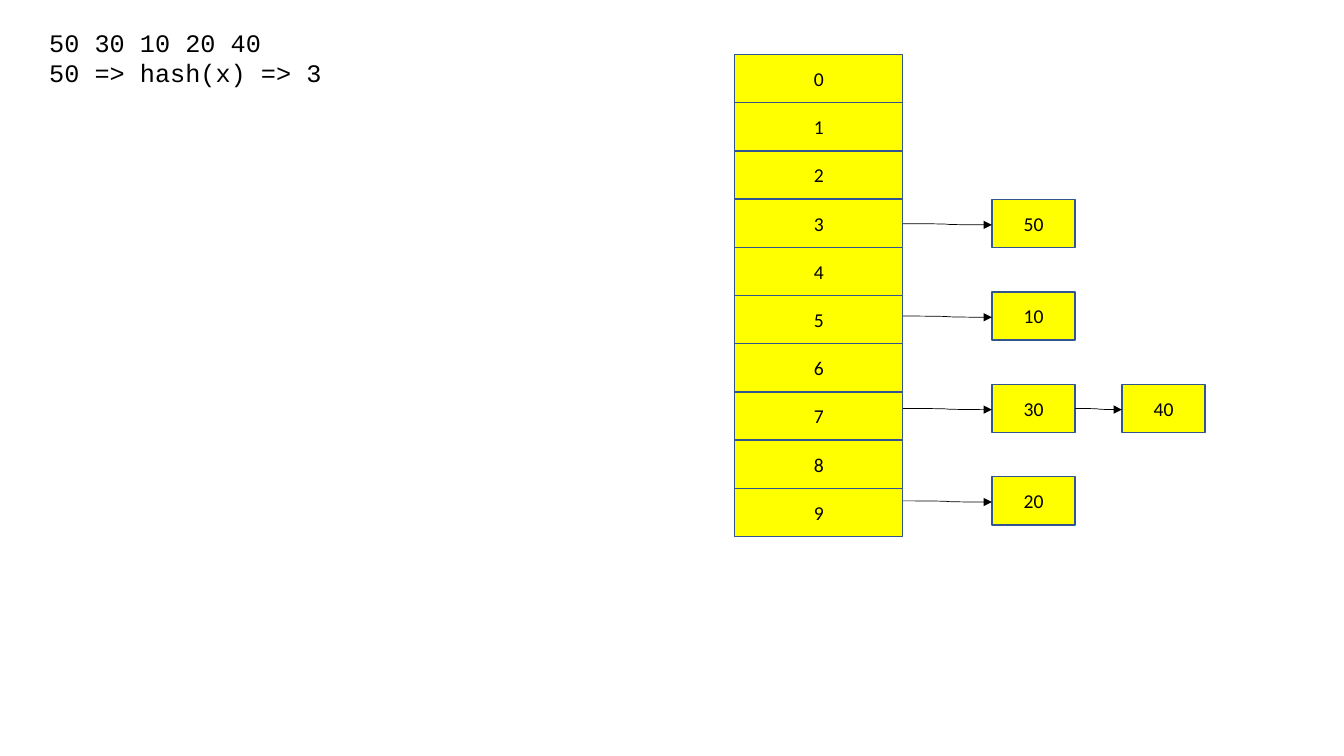
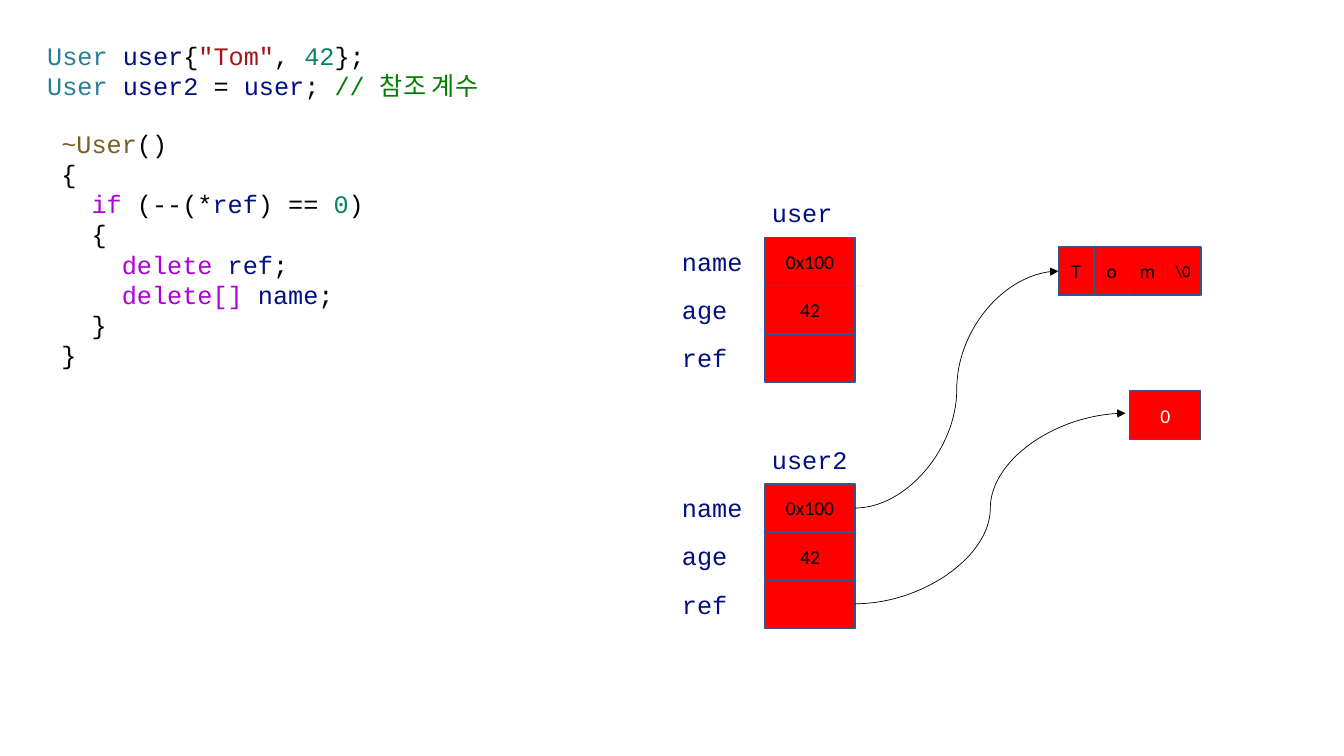
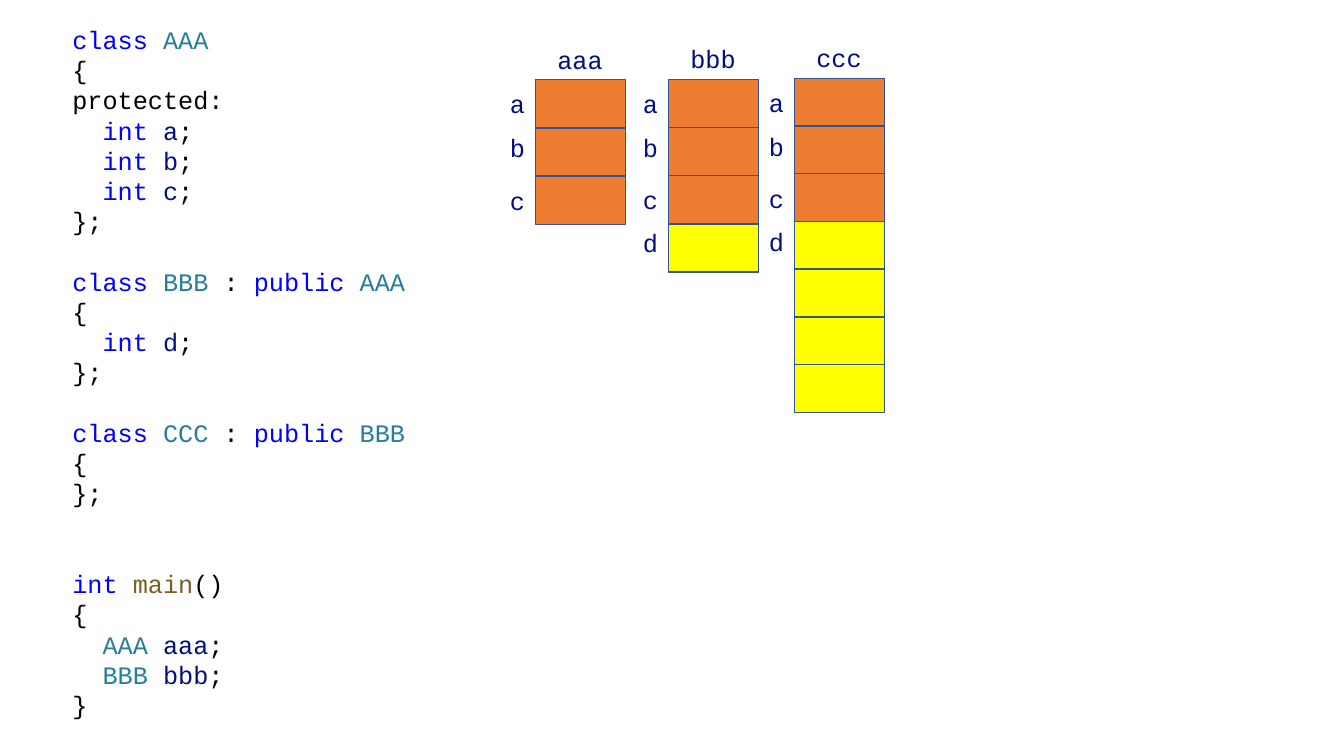
from pptx import Presentation
from pptx import util as u
from pptx.dml.color import RGBColor
from pptx.enum import shapes, text
from pptx.oxml import parse_xml
from pptx.oxml.ns import nsdecls

BLACK = RGBColor(0x00, 0x00, 0x00)
WHITE = RGBColor(0xFF, 0xFF, 0xFF)
YELLOW = RGBColor(0xFF, 0xFF, 0x00)
RED = RGBColor(0xFF, 0x00, 0x00)
ORANGE = RGBColor(0xED, 0x7D, 0x31)
BORDER = RGBColor(0x32, 0x54, 0x91)
TYPE = RGBColor(0x26, 0x7F, 0x99)
VARIABLE = RGBColor(0x00, 0x10, 0x80)
STRING = RGBColor(0xA3, 0x15, 0x15)
NUMBER = RGBColor(0x09, 0x86, 0x58)
COMMENT = RGBColor(0x00, 0x80, 0x00)
FUNCTION = RGBColor(0x79, 0x5E, 0x26)
CONTROL = RGBColor(0xAF, 0x00, 0xDB)
KEYWORD = RGBColor(0x00, 0x00, 0xFF)

COLUMNS, ROWS = 80, 45
CELL = 2.87
CODE_FONT = {"name": "Courier New", "size": u.Pt(18)}
CELL_FONT = {"name": "Calibri", "size": u.Pt(14)}
CODE_LINE = 21.6
CODE_CHAR = 10.8


def apply(target, values):
    """Set every named attribute on the target."""
    for name, value in values.items():
        setattr(target, name, value)


class Board:
    """Draws code and memory diagrams on a grid of columns and rows."""

    def __init__(self):
        self.deck = Presentation()
        apply(self.deck, {"slide_width": u.Inches(13.33), "slide_height": u.Inches(7.5)})
        self.slide = None

    def new_slide(self):
        self.slide = self.deck.slides.add_slide(self.deck.slide_layouts[6])

    def x(self, columns):
        return round(self.deck.slide_width * columns / COLUMNS)

    def y(self, rows):
        return round(self.deck.slide_height * rows / ROWS)

    def area(self, left, top, width, height):
        return self.x(left), self.y(top), self.x(width), self.y(height)

    def add_span(self, para, words, font, colour):
        span = para.add_run()
        span.text = words
        apply(span.font, font)
        span.font.color.rgb = colour

    def code(self, left, top, width, height, lines, gaps={}, wrap=True):
        frame = self.slide.shapes.add_textbox(*self.area(left, top, width, height)).text_frame
        apply(frame, {"word_wrap": wrap, "auto_size": text.MSO_AUTO_SIZE.SHAPE_TO_FIT_TEXT})
        for index, line in enumerate(lines):
            para = frame.add_paragraph() if index else frame.paragraphs[0]
            apply(para, {"line_spacing": u.Pt(CODE_LINE),
                         "space_before": u.Pt(CODE_LINE * gaps.get(index, 0))})
            first = line[0][0]
            indent = len(first) - len(first.lstrip())
            if indent:
                para._p.get_or_add_pPr().set("marL", str(u.Pt(CODE_CHAR * indent)))
            for position, (words, colour) in enumerate(line):
                self.add_span(para, words if position else words.lstrip(), CODE_FONT, colour)

    def label(self, left, top, name):
        self.code(left, top, 0.9 * len(name) + 1.2, 2.42, [[(name, VARIABLE)]], wrap=False)

    def cell(self, left, top, width, fill, words="", colour=BLACK, font=CELL_FONT):
        box = self.slide.shapes.add_shape(
            shapes.MSO_SHAPE.RECTANGLE, *self.area(left, top, width, CELL))
        box.shadow.inherit = False
        box.fill.solid()
        box.fill.fore_color.rgb = fill
        box.line.color.rgb = BORDER
        box.line.width = u.Pt(1)
        box.text_frame.vertical_anchor = text.MSO_ANCHOR.MIDDLE
        if words:
            para = box.text_frame.paragraphs[0]
            para.alignment = text.PP_ALIGN.CENTER
            self.add_span(para, words, font, colour)

    def stack(self, left, top, width, cells, step=CELL):
        for index, (fill, words) in enumerate(cells):
            self.cell(left, top + index * step, width, fill, words)

    def arrow(self, start, end):
        link = self.slide.shapes.add_connector(
            shapes.MSO_CONNECTOR.CURVE, self.x(start[0]), self.y(start[1]),
            self.x(end[0]), self.y(end[1]))
        link.line.color.rgb = BLACK
        link.line.width = u.Pt(0.5)
        link.line._get_or_add_ln().append(
            parse_xml(f'<a:tailEnd {nsdecls("a")} type="triangle"/>'))
        link._element.spPr.append(parse_xml(f'<a:effectLst {nsdecls("a")}/>'))


def plain(words):
    """Return one line of black code."""
    return [(words, BLACK)]


def declare(kind, name, colour):
    """Return one indented declaration."""
    return [(f"  {kind} ", colour), (name, VARIABLE), (";", BLACK)]


def derive(name, base):
    """Return the heading of a derived class."""
    return [("class ", KEYWORD), (name, TYPE), (" : ", BLACK), ("public ", KEYWORD), (base, TYPE)]


def hash_table(board):
    """Draw the hash table with its chains."""
    board.new_slide()
    board.code(2.34, 1.32, 31.38, 4.26,
               [plain("50 30 10 20 40"), plain("50 => hash(x) => 3")])
    left, width, node_width = 43.74, 10, 4.96
    board.stack(left, 3.24, width, [(YELLOW, str(number)) for number in range(10)])
    for row, chain in enumerate([["50"], ["10"], ["30", "40"], ["20"]]):
        top = 11.88 + 5.5 * row
        middle = top + CELL / 2
        tail = left + width
        for node_left, value in zip((59.04, 66.78), chain):
            board.cell(node_left, top, node_width, YELLOW, value)
            board.arrow((tail, middle), (node_left, middle + 0.07))
            tail = node_left + node_width


def reference_count(board):
    """Draw two objects that share a name and a counter."""
    board.new_slide()
    board.code(2.22, 2.1, 30.42, 4.26, [
        [("User ", TYPE), ("user", VARIABLE), ("{", BLACK), ('"Tom"', STRING),
         (", ", BLACK), ("42", NUMBER), ("};", BLACK)],
        [("User ", TYPE), ("user2", VARIABLE), (" = ", BLACK), ("user", VARIABLE),
         (";", BLACK), (" // 참조 계수", COMMENT)],
    ])
    left, width = 45.54, 5.36
    for top, owner in ((14.14, "user"), (28.8, "user2")):
        board.label(45.36, top - 2.66, owner)
        board.stack(left, top, width, [(RED, "0x100"), (RED, "42"), (RED, "")])
        for index, field in enumerate(("name", "age", "ref")):
            board.label(40, top + 0.22 + index * CELL, field)
    letter_left, letter_width = 63, 2.12
    for index, letter in enumerate(("T", "o", "m", "\\0")):
        size = u.Pt(14 if len(letter) == 1 else 12)
        board.cell(letter_left + index * letter_width, 14.7, letter_width, RED, letter,
                   font={**CELL_FONT, "size": size})
    board.cell(67.24, 23.28, 2 * letter_width, RED, "0", WHITE)
    board.arrow((left + width, 30.24), (letter_left, 16.14))
    board.arrow((left + width, 35.94), (67, 24.6))
    board.code(3.06, 7.32, 29.16, 15.12, [
        [("~User", FUNCTION), ("()", BLACK)],
        plain("{"),
        [("  if", CONTROL), (" (--(*", BLACK), ("ref", VARIABLE), (") == ", BLACK),
         ("0", NUMBER), (")", BLACK)],
        plain("  {"),
        declare("  delete", "ref", CONTROL),
        declare("  delete[]", "name", CONTROL),
        plain("  }"),
        plain("}"),
    ])


def inheritance(board):
    """Draw the memory layout of three related classes."""
    board.new_slide()
    board.code(3.72, 1.14, 40.02, 42.42, [
        [("class ", KEYWORD), ("AAA", TYPE)],
        plain("{"),
        plain("protected:"),
        *[declare("int", name, KEYWORD) for name in "abc"],
        plain("};"),
        derive("BBB", "AAA"),
        plain("{"),
        declare("int", "d", KEYWORD),
        plain("};"),
        derive("CCC", "BBB"),
        plain("{"),
        plain("};"),
        [("int ", KEYWORD), ("main", FUNCTION), ("()", BLACK)],
        plain("{"),
        declare("AAA", "aaa", TYPE),
        declare("BBB", "bbb", TYPE),
        plain("}"),
    ], gaps={7: 1, 11: 1, 14: 2})
    layouts = (("aaa", 31.86, 4.74, 0, "abc", CELL),
               ("bbb", 39.78, 4.72, 1, "abcd", CELL),
               ("ccc", 47.28, 4.66, 4, "abcd", 2.84))
    for name, left, top, added, fields, step in layouts:
        board.label(left + 0.72, top - 2.42, name)
        board.stack(left, top, 5.36, [(ORANGE, "")] * 3 + [(YELLOW, "")] * added, step)
        for field, offset in zip(fields, (0.22, 2.84, 5.98, 8.54)):
            board.label(left - 2.1, top + offset, field)


board = Board()
hash_table(board)
reference_count(board)
inheritance(board)
board.deck.save("out.pptx")
